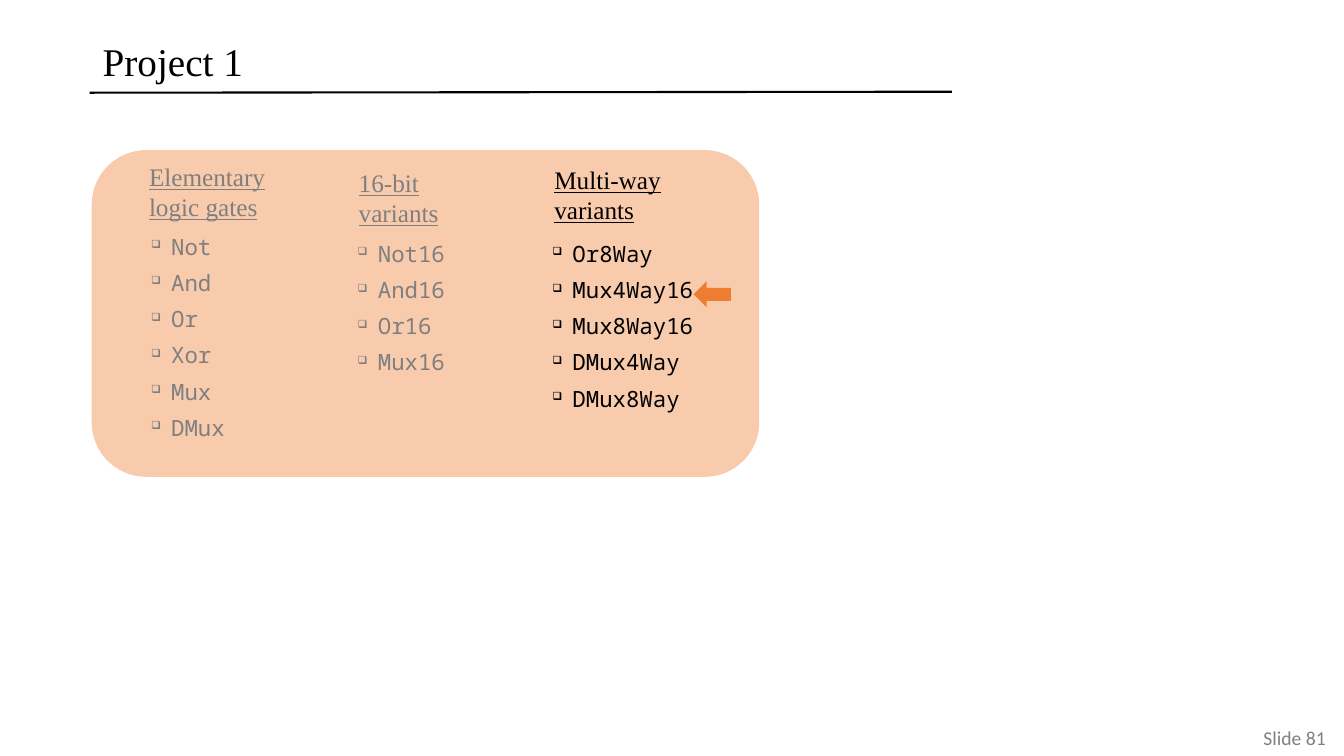
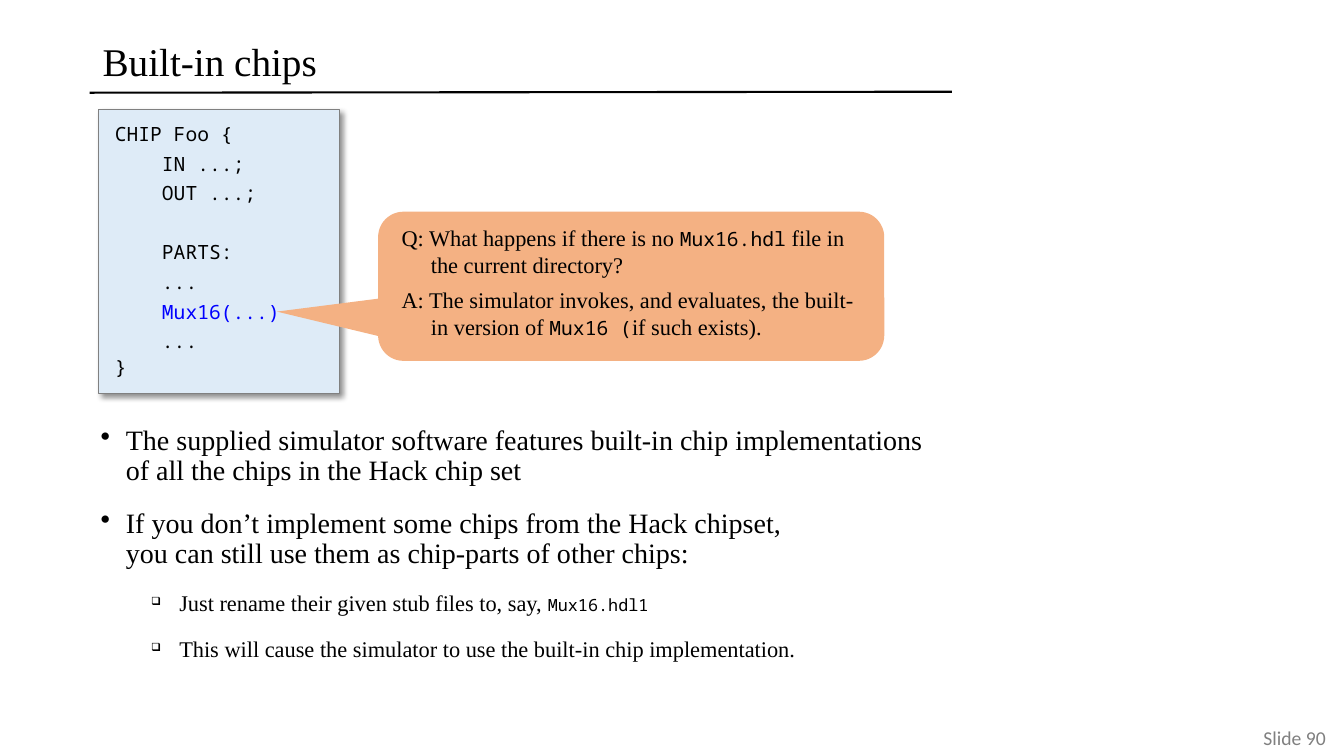
from lxml.etree import SubElement
from pptx import Presentation
from pptx.dml.color import RGBColor
from pptx.enum.shapes import MSO_CONNECTOR as Line, MSO_SHAPE as Preset
from pptx.enum.text import MSO_ANCHOR as Anchor, PP_ALIGN as Align
from pptx.oxml.ns import qn
from pptx.util import Pt

EMU_PER_PX = 9144
SERIF, MONO, SANS = "Times New Roman", "Noto Sans Mono", "Calibri"
BLACK, GREY, DIMMED, BLUE = "000000", "808080", "7F7F7F", "0000FF"
PANEL, CALLOUT, ACCENT, CODE_FILL = "F8CBAD", "F4B183", "ED7D31", "DEEBF7"
SQUARE, DOT = ("❑", 50), ("•", 100)
TITLE_BOX = (92, 32, 853, 63)
FOOTER_BOX = (90, 715, 1225, 34)
RULE = (89, 92, 944, 91)


def px(*lengths):
    """Turn pixel lengths into EMU."""
    return [length * EMU_PER_PX for length in lengths]


def rgb(color):
    """Turn a hex string into a colour."""
    return RGBColor.from_string(color)


def set_frame(frame, anchor=Anchor.TOP, insets=(10, 5, 10, 5)):
    """Wrap a text frame and set its anchor and insets."""
    frame.word_wrap = True
    frame.vertical_anchor = anchor
    (frame.margin_left, frame.margin_top,
     frame.margin_right, frame.margin_bottom) = px(*insets)
    return frame


def text_box(slide, box, **options):
    """Add a text box and return its frame."""
    return set_frame(slide.shapes.add_textbox(*px(*box)).text_frame, **options)


def add_shape(slide, preset, box, fill, outline=None):
    """Add a filled preset shape without a shadow."""
    shape = slide.shapes.add_shape(preset, *px(*box))
    shape.fill.solid()
    shape.fill.fore_color.rgb = rgb(fill)
    if outline:
        shape.line.color.rgb = rgb(outline)
        shape.line.width = Pt(0.75)
    else:
        shape.line.fill.background()
    shape.shadow.inherit = False
    return shape


def add_run(paragraph, text, size, font=SERIF, color=BLACK, underline=None):
    """Add a run, with a line break at each newline."""
    for index, part in enumerate(text.split("\n")):
        if index:
            paragraph.add_line_break()
        run = paragraph.add_run()
        run.text = part
        run.font.size, run.font.name = Pt(size), font
        run.font.color.rgb = rgb(color)
        run.font.underline = underline


def add_paragraph(frame, runs, before=0, spacing=None, bullet=None,
                  indent=None, level=0, align=Align.LEFT):
    """Add a paragraph of runs; the first one gets no space before."""
    first = not frame.paragraphs[0].runs
    paragraph = frame.paragraphs[0] if first else frame.add_paragraph()
    properties = paragraph._p.get_or_add_pPr()
    if indent:
        left, hang = px(*indent)
        properties.set("marL", str(left))
        properties.set("indent", str(-hang))
    if bullet:
        symbol, percent = bullet
        SubElement(properties, qn("a:buSzPct")).set("val", str(percent * 1000))
        SubElement(properties, qn("a:buChar")).set("char", symbol)
    paragraph.level, paragraph.alignment = level, align
    if spacing:
        paragraph.line_spacing = spacing
    if not first:
        paragraph.space_before = Pt(before)
    for text, *style in runs:
        add_run(paragraph, text, *style)


def base_slide(deck, title, number):
    """Add a slide with the shared title, rule and footer."""
    slide = deck.slides.add_slide(deck.slide_layouts[6])
    footer = text_box(slide, FOOTER_BOX, anchor=Anchor.MIDDLE, insets=(0, 5, 0, 5))
    add_paragraph(footer, [(f"Slide {number}", 14, SANS, GREY)], align=Align.RIGHT)
    rule = slide.shapes.add_connector(Line.STRAIGHT, *px(*RULE))
    rule.line.color.rgb = rgb(BLACK)
    rule.line.width = Pt(1.5)
    SubElement(rule._element.spPr, qn("a:effectLst"))
    heading = text_box(slide, TITLE_BOX, anchor=Anchor.MIDDLE)
    add_paragraph(heading, [(title, 28)], spacing=0.9)
    return slide


def gate_column(slide, box, heading, gates, color, list_shift):
    """Place an underlined heading with its list of gates below."""
    left, top, width, height = box
    add_paragraph(text_box(slide, (left, top, width, 71)),
                  [(heading, 18, SERIF, color, True)])
    shift_x, shift_y = list_shift
    gate_list = text_box(slide, (left + shift_x, top + shift_y,
                                 width, height - shift_y))
    for gate in gates:
        add_paragraph(gate_list, [(gate, 16, MONO, color)], before=6.7,
                      bullet=SQUARE, indent=(20, 20))


def gate_panel(slide, box):
    """Place the rounded panel with three gate columns and the marker."""
    left, top, width, height = box
    add_shape(slide, Preset.ROUNDED_RECTANGLE, box, PANEL)
    columns = [
        (47, 6, "Elementary\nlogic gates",
         ("Not", "And", "Or", "Xor", "Mux", "DMux"), DIMMED, (2, 71)),
        (255, 12, "16-bit\nvariants",
         ("Not16", "And16", "Or16", "Mux16"), DIMMED, (-1, 72)),
        (449, 9, "Multi-way\nvariants",
         ("Or8Way", "Mux4Way16", "Mux8Way16", "DMux4Way", "DMux8Way"),
         BLACK, (-2, 75)),
    ]
    for x, y, *content in columns:
        gate_column(slide, (left + x, top + y, 190, height - y), *content)
    add_shape(slide, Preset.LEFT_ARROW, (left + 597, top + 130, 37, 26), ACCENT)


def code_panel(slide, box):
    """Place the chip code on a shaded panel with a soft shadow."""
    panel = add_shape(slide, Preset.RECTANGLE, box, CODE_FILL, GREY)
    shadow = SubElement(panel._element.spPr.find(qn("a:effectLst")),
                        qn("a:outerShdw"), blurRad=str(Pt(4)), dist=str(Pt(3)),
                        dir="2700000", algn="tl", rotWithShape="0")
    tint = SubElement(shadow, qn("a:srgbClr"), val=BLACK)
    SubElement(tint, qn("a:alpha"), val="43000")
    code = set_frame(panel.text_frame, Anchor.MIDDLE, (16, 10, 16, 10))
    lines = [
        ("CHIP Foo {", BLACK, 0),
        ("    IN ...;", BLACK, 6),
        ("    OUT ...;", BLACK, 6),
        ("    PARTS:", BLACK, 27),
        ("    ...", BLACK, 6),
        ("    Mux16(...)", BLUE, 6),
        ("    ...", BLACK, 6),
        ("}", BLACK, 3),
    ]
    for text, color, before in lines:
        add_paragraph(code, [(text, 14, MONO, color)], before, spacing=0.9)


def question_callout(slide, box):
    """Place the question and answer in a callout pointing at the code."""
    callout = add_shape(slide, Preset.ROUNDED_RECTANGULAR_CALLOUT, box, CALLOUT)
    for index, value in enumerate((-0.7, 0.17, 0.17)):
        callout.adjustments[index] = value
    frame = set_frame(callout.text_frame, insets=(16, 5, 10, 5))
    exchanges = [
        [("Q: What happens if there is no ", 16), ("Mux16.hdl", 14, MONO),
         (" file in the current directory?", 16)],
        [("A: The simulator invokes, and evaluates, the built-in version of ", 16),
         ("Mux16 (", 14, MONO), ("if such exists).", 16)],
    ]
    for runs in exchanges:
        add_paragraph(frame, runs, before=6, indent=(29, 29))


def chip_notes(slide, box):
    """Place the two-level bullet list."""
    notes = text_box(slide, box)
    points = [
        (0, [("The supplied simulator software features built-in chip "
              "implementations of all the chips in the Hack chip set", 20)]),
        (0, [("If you don’t implement some chips from the Hack chipset,\n"
              "you can still use them as chip-parts of other chips:", 20)]),
        (1, [("Just rename their given stub files to, say, ", 16),
             ("Mux16.hdl1", 12, MONO)]),
        (1, [("This will cause the simulator to use the built-in chip "
              "implementation.", 16)]),
    ]
    styles = [(DOT, (25, 25)), (SQUARE, (78, 28))]
    for level, runs in points:
        bullet, indent = styles[level]
        add_paragraph(notes, runs, 16, 0.9, bullet, indent, level)


def main():
    """Build and save the deck."""
    deck = Presentation()
    deck.slide_width, deck.slide_height = px(1333, 750)

    project = base_slide(deck, "Project 1", 81)
    gate_panel(project, (91, 149, 662, 324))

    chips = base_slide(deck, "Built-in chips", 90)
    code_panel(chips, (98, 109, 239, 281))
    chip_notes(chips, (90, 418, 853, 288))
    question_callout(chips, (375, 210, 502, 148))

    deck.save("out.pptx")


if __name__ == "__main__":
    main()
